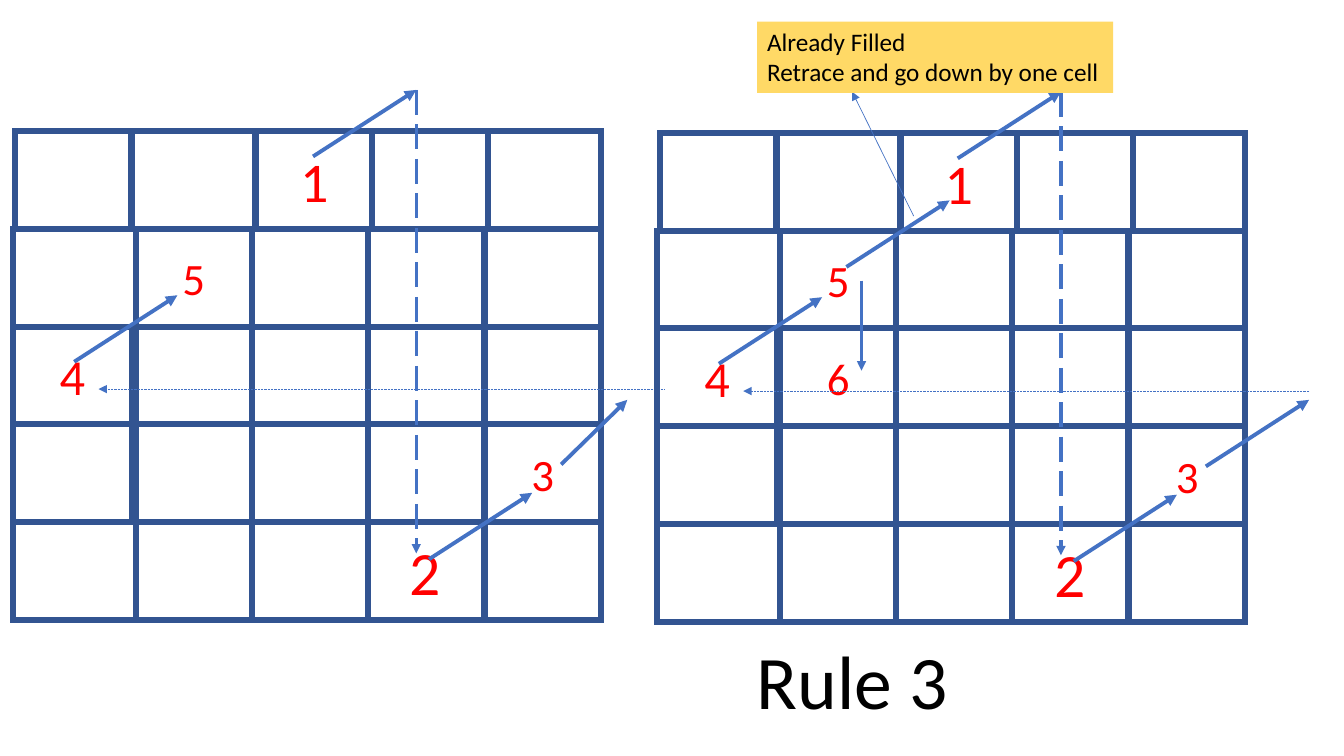
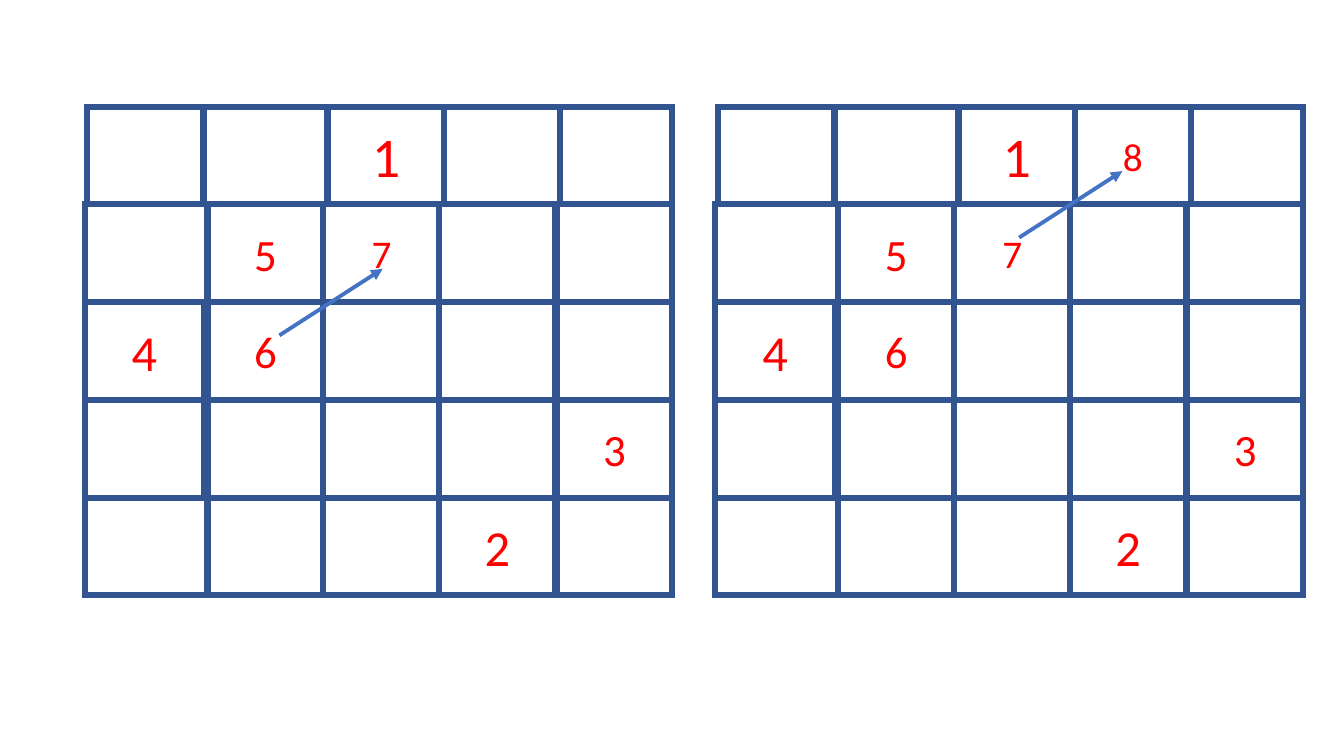
"""Two slides of five-by-five boards that trace the magic square filling rules."""
from dataclasses import dataclass
from typing import Any, NamedTuple

from lxml import etree
from pptx import Presentation
from pptx.dml.color import RGBColor
from pptx.enum.dml import MSO_LINE
from pptx.enum.shapes import MSO_CONNECTOR, MSO_SHAPE
from pptx.enum.text import MSO_ANCHOR, MSO_AUTO_SIZE, PP_ALIGN
from pptx.oxml.ns import qn
from pptx.util import Emu, Inches, Pt

LONG_DASH, DOTS = MSO_LINE.LONG_DASH, MSO_LINE.ROUND_DOT
STRAIGHT, RECTANGLE = MSO_CONNECTOR.STRAIGHT, MSO_SHAPE.RECTANGLE
CENTER, LEFT, MIDDLE = PP_ALIGN.CENTER, PP_ALIGN.LEFT, MSO_ANCHOR.MIDDLE
FIT_TEXT = MSO_AUTO_SIZE.SHAPE_TO_FIT_TEXT

GRID_BLUE, ARROW_BLUE, NUMBER_RED = "325491", "4472C4", "FF0000"
CALLOUT_GOLD, BLACK = "FFD966", "000000"
FONT = "Calibri"
COLUMN, ROW = Inches(1.15), Inches(0.97)
GRID_WEIGHT = 4.25
DIAGONAL = (0.89, -0.68)
BLANK_LAYOUT = 6


class Point(NamedTuple):
    """A position in columns and rows."""

    column: float
    row: float


class Span(NamedTuple):
    """The start and width of a cell, in columns."""

    start: float
    width: float


@dataclass(frozen=True)
class Move:
    """An arrow between two points of a board."""

    start: Point
    end: Point
    weight: float = 2.75
    dash: Any = None


@dataclass(frozen=True)
class Number:
    """A number written in one cell."""

    value: int
    row: int
    column: int
    size: int


@dataclass(frozen=True)
class Board:
    """A board with its numbers and moves."""

    corner: Point
    numbers: list[Number]
    moves: list[Move]


@dataclass(frozen=True)
class Caption:
    """Text lines in a box measured in columns and rows."""

    corner: Point
    columns: float
    rows: float
    lines: list[str]
    size: int
    alignment: Any
    fill: str | None = None


def cell_row(first_width: float) -> list[Span]:
    """Return the cells of a row below the top one."""
    others = [Span(start, 1) for start in (1.06, 2.06, 3.06, 4.07)]
    return [Span(0, first_width), *others]


def diagonal(column: float, row: float) -> Move:
    """Return the move that goes one cell up and to the right."""
    return Move(Point(column, row), Point(column + DIAGONAL[0], row + DIAGONAL[1]))


TOP_ROW = [Span(0.02, 1), Span(1.03, 1.06), Span(2.1, 1), Span(3.1, 1), Span(4.1, 0.97)]
CELL_ROWS = [TOP_ROW, *(cell_row(width) for width in (1.06, 1.03, 1.03, 1.06))]

ONE, THREE = Number(1, 0, 2, 40), Number(3, 3, 4, 32)
LARGE_TWO, TWO = Number(2, 4, 3, 44), Number(2, 4, 3, 36)
FOUR, FIVE, SIX = Number(4, 2, 0, 36), Number(5, 1, 1, 32), Number(6, 2, 1, 32)
SEVEN, EIGHT = Number(7, 1, 2, 28), Number(8, 0, 3, 28)
FIRST_FIVE = [ONE, LARGE_TWO, THREE, FOUR, FIVE]
FIRST_SEVEN = [ONE, TWO, THREE, FOUR, FIVE, SIX, SEVEN]

FIRST_MOVES = [
    diagonal(2.59, 0.26),
    Move(Point(3.48, -0.42), Point(3.48, 4.32), 2.25, LONG_DASH),
    diagonal(3.59, 4.38),
    Move(Point(5.62, 2.64), Point(0.74, 2.64), 0.5, DOTS),
    diagonal(0.53, 2.36),
]
SHORT_EXIT = Move(Point(4.73, 3.41), Point(5.3, 2.75))
BLOCKED_MOVES = [
    diagonal(4.73, 3.41),
    diagonal(1.63, 1.37),
    Move(Point(2.21, 0.85), Point(1.68, -0.42), 0.5),
    Move(Point(1.76, 1.51), Point(1.76, 2.43), 2.25),
]

SLIDES: list[tuple[list[Board], list[Caption]]] = [
    (
        [
            Board(Point(0.11, 1.34), FIRST_FIVE, [*FIRST_MOVES, SHORT_EXIT]),
            Board(Point(5.67, 1.36), [*FIRST_FIVE, SIX], FIRST_MOVES + BLOCKED_MOVES),
        ],
        [
            Caption(Point(6.53, 0.22), 3.07, 0.73,
                    ["Already Filled", "Retrace and go down by one cell"],
                    18, LEFT, CALLOUT_GOLD),
            Caption(Point(6.43, 6.43), 1.84, 1.04, ["Rule 3"], 54, CENTER),
        ],
    ),
    (
        [
            Board(Point(0.73, 1.09), FIRST_SEVEN, [diagonal(1.68, 2.34)]),
            Board(Point(6.17, 1.09), [*FIRST_SEVEN, EIGHT], [diagonal(2.62, 1.34)]),
        ],
        [],
    ),
]


def color(value: str) -> RGBColor:
    """Turn a hex string into a colour."""
    return RGBColor.from_string(value)


def place(corner: Point, offset: Point = Point(0, 0)) -> tuple[Emu, Emu]:
    """Return the slide position of an offset from a corner."""
    return (Emu(round((corner.column + offset.column) * COLUMN)),
            Emu(round((corner.row + offset.row) * ROW)))


def apply(target: Any, formats: dict[str, Any]) -> None:
    """Set every format value on the target."""
    for name, value in formats.items():
        setattr(target, name, value)


def write(paragraph: Any, text: str, size: int, ink: str, alignment: Any) -> None:
    """Write one formatted line of text."""
    paragraph.alignment = alignment
    run = paragraph.add_run()
    run.text = text
    apply(run.font, {"name": FONT, "size": Pt(size)})
    run.font.color.rgb = color(ink)


def draw_line(shape: Any, ink: str, weight: float, dash: Any = None) -> Any:
    """Format the line of a shape and return its XML element."""
    shape.line.color.rgb = color(ink)
    apply(shape.line, {"width": Pt(weight), "dash_style": dash})
    return shape._element.spPr.find(qn("a:ln"))


def draw_cell(shapes: Any, corner: Point, row: int, span: Span) -> Any:
    """Draw an empty cell."""
    cell = shapes.add_shape(RECTANGLE, *place(corner, Point(span.start, row)),
                            Emu(round(span.width * COLUMN)), ROW)
    cell.shadow.inherit = False
    cell.fill.background()
    outline = draw_line(cell, GRID_BLUE, GRID_WEIGHT)
    etree.SubElement(outline, qn("a:miter"), lim="800000")
    return cell


def draw_move(shapes: Any, corner: Point, move: Move) -> None:
    """Draw the arrow of a move."""
    arrow = shapes.add_connector(STRAIGHT, *place(corner, move.start),
                                 *place(corner, move.end))
    outline = draw_line(arrow, ARROW_BLUE, move.weight, move.dash)
    etree.SubElement(outline, qn("a:tailEnd"), type="triangle")
    etree.SubElement(arrow._element.spPr, qn("a:effectLst"))


def draw_board(slide: Any, board: Board) -> None:
    """Draw a board as one group."""
    shapes = slide.shapes.add_group_shape().shapes
    numbers = {(number.row, number.column): number for number in board.numbers}
    for row, spans in enumerate(CELL_ROWS):
        for column, span in enumerate(spans):
            cell = draw_cell(shapes, board.corner, row, span)
            number = numbers.get((row, column))
            if number:
                cell.text_frame.vertical_anchor = MIDDLE
                write(cell.text_frame.paragraphs[0], str(number.value),
                      number.size, NUMBER_RED, CENTER)
    for move in board.moves:
        draw_move(shapes, board.corner, move)


def draw_caption(slide: Any, caption: Caption) -> None:
    """Draw a caption, filled when it has a colour."""
    box = slide.shapes.add_textbox(*place(caption.corner),
                                   *place(Point(caption.columns, caption.rows)))
    if caption.fill:
        box.fill.solid()
        box.fill.fore_color.rgb = color(caption.fill)
    frame = box.text_frame
    apply(frame, {"word_wrap": False, "auto_size": FIT_TEXT})
    for index, line in enumerate(caption.lines):
        paragraph = frame.add_paragraph() if index else frame.paragraphs[0]
        write(paragraph, line, caption.size, BLACK, caption.alignment)


def main() -> None:
    """Build and save the presentation."""
    deck = Presentation()
    apply(deck, {"slide_width": Inches(13.33), "slide_height": Inches(7.5)})
    for boards, captions in SLIDES:
        slide = deck.slides.add_slide(deck.slide_layouts[BLANK_LAYOUT])
        for board in boards:
            draw_board(slide, board)
        for caption in captions:
            draw_caption(slide, caption)
    deck.save("out.pptx")


if __name__ == "__main__":
    main()
